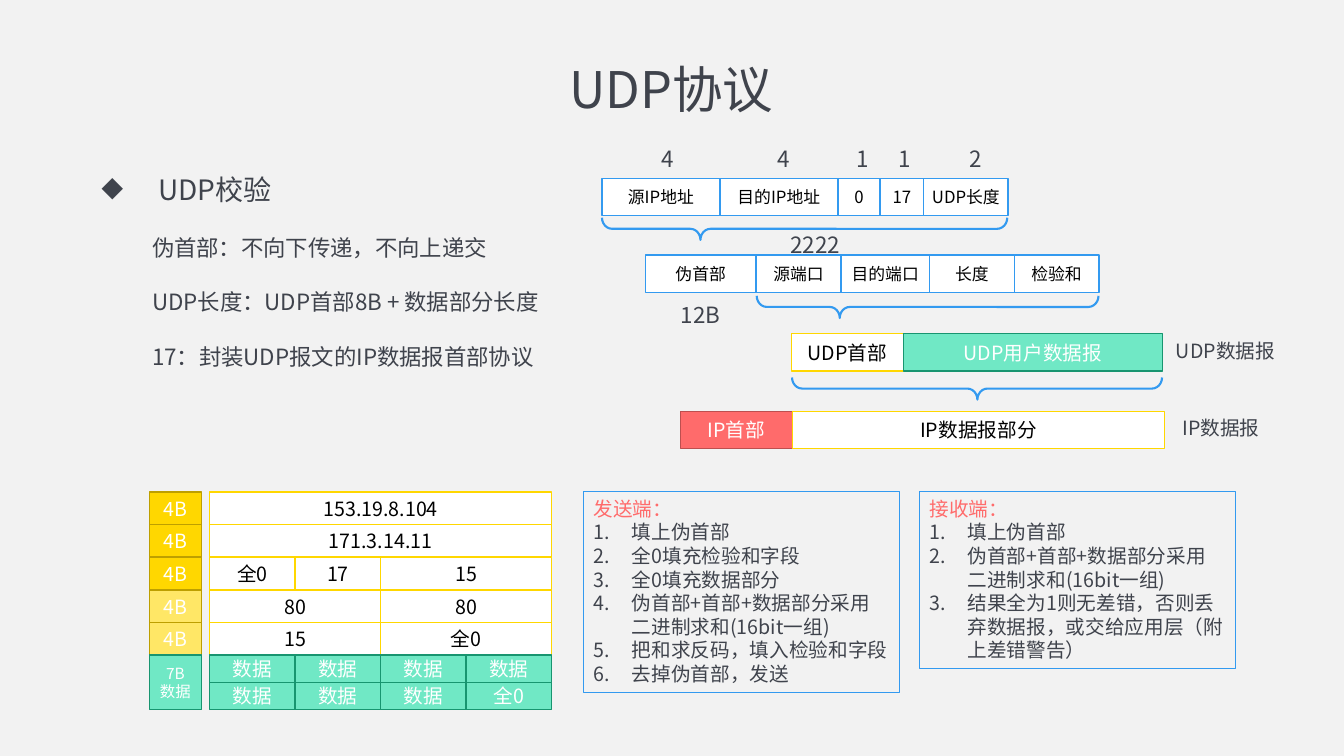
from dataclasses import dataclass

from lxml.etree import SubElement
from pptx import Presentation
from pptx.dml.color import RGBColor
from pptx.enum.shapes import MSO_SHAPE
from pptx.enum.text import MSO_ANCHOR, PP_ALIGN
from pptx.oxml.ns import qn
from pptx.util import Inches, Pt

FONT = "Noto Sans CJK SC"
INK, BLACK, WHITE = "3F434C", "000000", "FFFFFF"
BLUE, YELLOW, CORAL = "339AF0", "FFD700", "FF6B6B"
LINE_FACTOR = 1.2


@dataclass(frozen=True)
class Area:
    """A place on the grid, whose columns and rows are a tenth of an inch."""
    left: float
    top: float
    width: float
    height: float


@dataclass(frozen=True)
class Look:
    fill: str
    line: str
    ink: str
    size: float = 14


@dataclass(frozen=True)
class Field:
    text: str
    width: float
    look: Look


@dataclass(frozen=True)
class FieldRow:
    left: float
    top: float
    height: float
    fields: list[Field]


@dataclass(frozen=True)
class Brace:
    left: float
    top: float
    width: float
    tip: float


@dataclass(frozen=True)
class Label:
    text: str
    area: Area
    size: float
    align: PP_ALIGN = PP_ALIGN.CENTER
    tabs: tuple[float, ...] = ()


@dataclass(frozen=True)
class Procedure:
    heading: str
    area: Area
    steps: list[str]


ADDRESS = Look(WHITE, BLUE, BLACK, 12)
HEADER = Look(WHITE, YELLOW, BLACK)
DATA = Look("70E8C5", "189570", WHITE)
DATA_SIZE = Look("70E8C5", "189570", WHITE, 11)
IP_HEADER = Look(CORAL, "BD4F4F", WHITE)
PSEUDO_SIZE = Look(YELLOW, "BD9F00", WHITE)
UDP_SIZE = Look("FFE766", "BD9F00", WHITE)

DIAGRAM = [
    FieldRow(59.7, 17.7, 3.7, [
        Field("源IP地址", 11.7, ADDRESS), Field("目的IP地址", 11.7, ADDRESS),
        Field("0", 4.2, ADDRESS), Field("17", 4.3, ADDRESS),
        Field("UDP长度", 8.4, ADDRESS)]),
    FieldRow(64, 25.3, 3.7, [
        Field("伪首部", 11, ADDRESS), Field("源端口", 8.4, ADDRESS),
        Field("目的端口", 8.8, ADDRESS), Field("长度", 8.4, ADDRESS),
        Field("检验和", 8.4, ADDRESS)]),
    FieldRow(78.5, 33.1, 3.7, [
        Field("UDP首部", 11.1, HEADER), Field("UDP用户数据报", 25.7, DATA)]),
    FieldRow(67.5, 40.8, 3.7, [
        Field("IP首部", 11.1, IP_HEADER), Field("IP数据报部分", 36.9, HEADER)]),
]
BRACES = [Brace(59.7, 21.6, 40.2, 0.757), Brace(75.05, 29.35, 33.9, 0.757),
          Brace(78.55, 37.45, 36.7, 0.499)]
LABELS = [
    Label("4\t4\t1\t1\t2", Area(64.6, 13.9, 33.9, 3.7), 16, PP_ALIGN.LEFT,
          (11.5, 19.4, 23.5, 30.6)),
    Label("2222", Area(77.4, 22.4, 29.1, 3.7), 16, PP_ALIGN.LEFT),
    Label("12B", Area(65.1, 29.4, 8.8, 3.7), 16),
    Label("UDP数据报", Area(115.4, 33.1, 12.3, 3.4), 14),
    Label("IP数据报", Area(115.6, 40.8, 11, 3.4), 14),
]

SIZE_LEFT, SIZE_WIDTH = 14.8, 5.2
PACKET_LEFT, PACKET_TOP, QUARTER = 20.8, 48.8, 8.48
WORD_HEIGHT, DATA_HEIGHT = 3.24, 2.7
# Each word: look of its size cell, then its values with their quarters
WORDS = [
    (PSEUDO_SIZE, [("153.19.8.104", 4)]),
    (PSEUDO_SIZE, [("171.3.14.11", 4)]),
    (PSEUDO_SIZE, [("全0", 1), ("17", 1), ("15", 2)]),
    (UDP_SIZE, [("80", 2), ("80", 2)]),
    (UDP_SIZE, [("15", 2), ("全0", 2)]),
]
DATA_ROWS = [["数据"] * 4, ["数据"] * 3 + ["全0"]]

PROCEDURES = [
    Procedure("发送端：", Area(57.9, 48.8, 31.3, 19.9), [
        "填上伪首部", "全0填充检验和字段", "全0填充数据部分",
        "伪首部+首部+数据部分采用二进制求和(16bit一组)",
        "把和求反码，填入检验和字段", "去掉伪首部，发送"]),
    Procedure("接收端：", Area(91.2, 48.8, 31.3, 17.5), [
        "填上伪首部", "伪首部+首部+数据部分采用二进制求和(16bit一组)",
        "结果全为1则无差错，否则丢弃数据报，或交给应用层（附上差错警告）"]),
]
EXPLANATIONS = ["伪首部：不向下传递，不向上递交", "UDP长度：UDP首部8B + 数据部分长度",
                "17：封装UDP报文的IP数据报首部协议"]


def grid(count: float) -> int:
    return Inches(count / 10)


def color(code: str) -> RGBColor:
    return RGBColor.from_string(code)


def place(area: Area) -> tuple[int, int, int, int]:
    return grid(area.left), grid(area.top), grid(area.width), grid(area.height)


def write(paragraph, text: str, size: float, ink: str = INK,
          align: PP_ALIGN = PP_ALIGN.LEFT, leading: float = LINE_FACTOR) -> None:
    run = paragraph.add_run()
    run.text = text
    formats = {"size": Pt(size), "name": FONT, "bold": False}
    for key, value in formats.items():
        setattr(run.font, key, value)
    run.font.color.rgb = color(ink)
    SubElement(run.font._element, qn("a:ea"), typeface=FONT)
    paragraph.alignment = align
    paragraph.line_spacing = Pt(round(size * leading, 1))


def indent(paragraph, margin: float, hanging: float = 0) -> None:
    properties = paragraph._p.get_or_add_pPr()
    properties.set("marL", str(grid(margin)))
    properties.set("indent", str(-grid(hanging)))


def add_box(slide, area: Area, kind=MSO_SHAPE.RECTANGLE, fill: str = "",
            line: str = BLUE, weight: float = 1):
    box = slide.shapes.add_shape(kind, *place(area))
    box.shadow.inherit = False
    if fill:
        box.fill.solid()
        box.fill.fore_color.rgb = color(fill)
    else:
        box.fill.background()
    box.line.color.rgb = color(line)
    box.line.width = Pt(weight)
    return box


def add_row(slide, row: FieldRow) -> None:
    left = row.left
    for field in row.fields:
        look = field.look
        frame = add_box(slide, Area(left, row.top, field.width, row.height),
                        fill=look.fill, line=look.line).text_frame
        formats = {"margin_left": grid(0.4), "margin_right": grid(0.4), "margin_top": 0,
                   "margin_bottom": 0, "vertical_anchor": MSO_ANCHOR.MIDDLE}
        for key, value in formats.items():
            setattr(frame, key, value)
        for index, text in enumerate(field.text.split("\n")):
            paragraph = frame.add_paragraph() if index else frame.paragraphs[0]
            write(paragraph, text, look.size, look.ink, PP_ALIGN.CENTER)
        left += field.width


def add_brace(slide, brace: Brace) -> None:
    """Turn a right brace so that it lies flat with its tip down."""
    depth = 2.2
    shift = (brace.width - depth) / 2
    upright = Area(brace.left + shift, brace.top - shift, depth, brace.width)
    shape = add_box(slide, upright, MSO_SHAPE.RIGHT_BRACE, weight=1.5)
    shape.adjustments[0], shape.adjustments[1] = 0.457, brace.tip
    shape.rotation = 90


def add_label(slide, label: Label) -> None:
    frame = slide.shapes.add_textbox(*place(label.area)).text_frame
    frame.word_wrap = True
    paragraph = frame.paragraphs[0]
    write(paragraph, label.text, label.size, align=label.align)
    if label.tabs:
        stops = SubElement(paragraph._p.get_or_add_pPr(), qn("a:tabLst"))
        for stop in label.tabs:
            SubElement(stops, qn("a:tab"), pos=str(grid(stop)), algn="l")


def add_procedure(slide, procedure: Procedure) -> None:
    frame = add_box(slide, procedure.area, weight=0.75).text_frame
    frame.vertical_anchor = MSO_ANCHOR.TOP
    write(frame.paragraphs[0], procedure.heading, 14, CORAL)
    for step in procedure.steps:
        paragraph = frame.add_paragraph()
        write(paragraph, step, 14)
        indent(paragraph, 3.8, 3.8)
        SubElement(paragraph._p.pPr, qn("a:buAutoNum"), type="arabicPeriod")


def add_packet(slide) -> None:
    top = PACKET_TOP
    for size_look, values in WORDS:
        add_row(slide, FieldRow(SIZE_LEFT, top, WORD_HEIGHT,
                                [Field("4B", SIZE_WIDTH, size_look)]))
        add_row(slide, FieldRow(PACKET_LEFT, top, WORD_HEIGHT,
                                [Field(text, span * QUARTER, HEADER) for text, span in values]))
        top += WORD_HEIGHT
    add_row(slide, FieldRow(SIZE_LEFT, top, DATA_HEIGHT * len(DATA_ROWS),
                            [Field("7B\n数据", SIZE_WIDTH, DATA_SIZE)]))
    for texts in DATA_ROWS:
        add_row(slide, FieldRow(PACKET_LEFT, top, DATA_HEIGHT,
                                [Field(text, QUARTER, DATA) for text in texts]))
        top += DATA_HEIGHT


def add_explanation(slide) -> None:
    frame = slide.shapes.add_textbox(*place(Area(9.1, 15, 50, 24))).text_frame
    frame.word_wrap = True
    topic = frame.paragraphs[0]
    write(topic, "UDP校验", 20, leading=1.8)
    indent(topic, 5.6, 5.6)
    SubElement(topic._p.pPr, qn("a:buChar"), char="◆")
    for text in EXPLANATIONS:
        paragraph = frame.add_paragraph()
        write(paragraph, text, 16, leading=1.8)
        paragraph.space_before = Pt(10)
        indent(paragraph, 5)


def add_title(slide) -> None:
    title = slide.shapes.title
    title.left, title.top, title.width, title.height = place(Area(9.1, 2.9, 115, 11.8))
    title.text_frame.vertical_anchor = MSO_ANCHOR.MIDDLE
    write(title.text_frame.paragraphs[0], "UDP协议", 36, align=PP_ALIGN.CENTER)


def main() -> None:
    deck = Presentation()
    deck.slide_width, deck.slide_height = Inches(13.33), Inches(7.5)
    slide = deck.slides.add_slide(deck.slide_layouts[5])
    slide.background.fill.solid()
    slide.background.fill.fore_color.rgb = color("F2F2F2")
    add_title(slide)
    add_explanation(slide)
    for add, items in ((add_row, DIAGRAM), (add_brace, BRACES), (add_label, LABELS),
                       (add_procedure, PROCEDURES)):
        for item in items:
            add(slide, item)
    add_packet(slide)
    deck.save("out.pptx")


if __name__ == "__main__":
    main()
